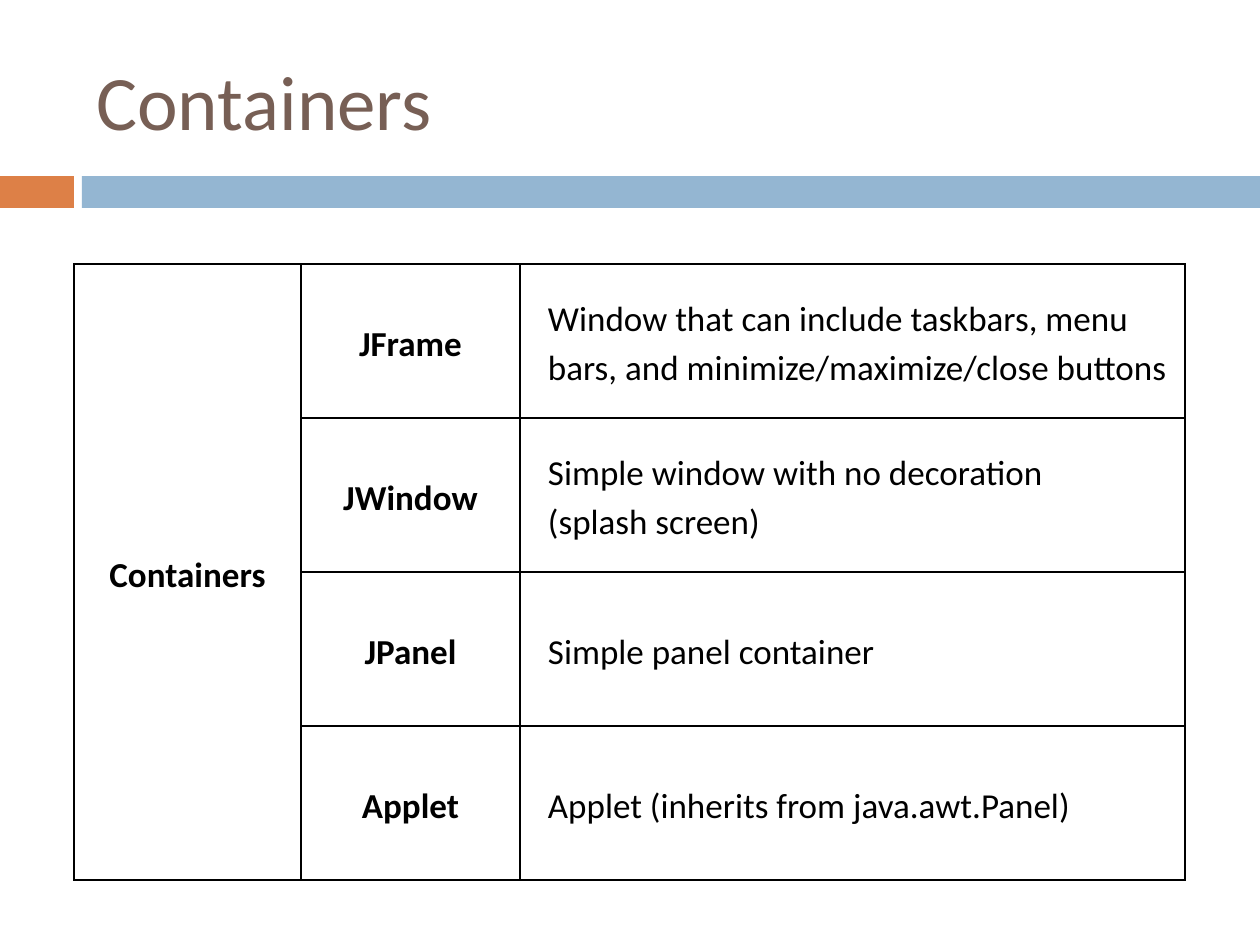
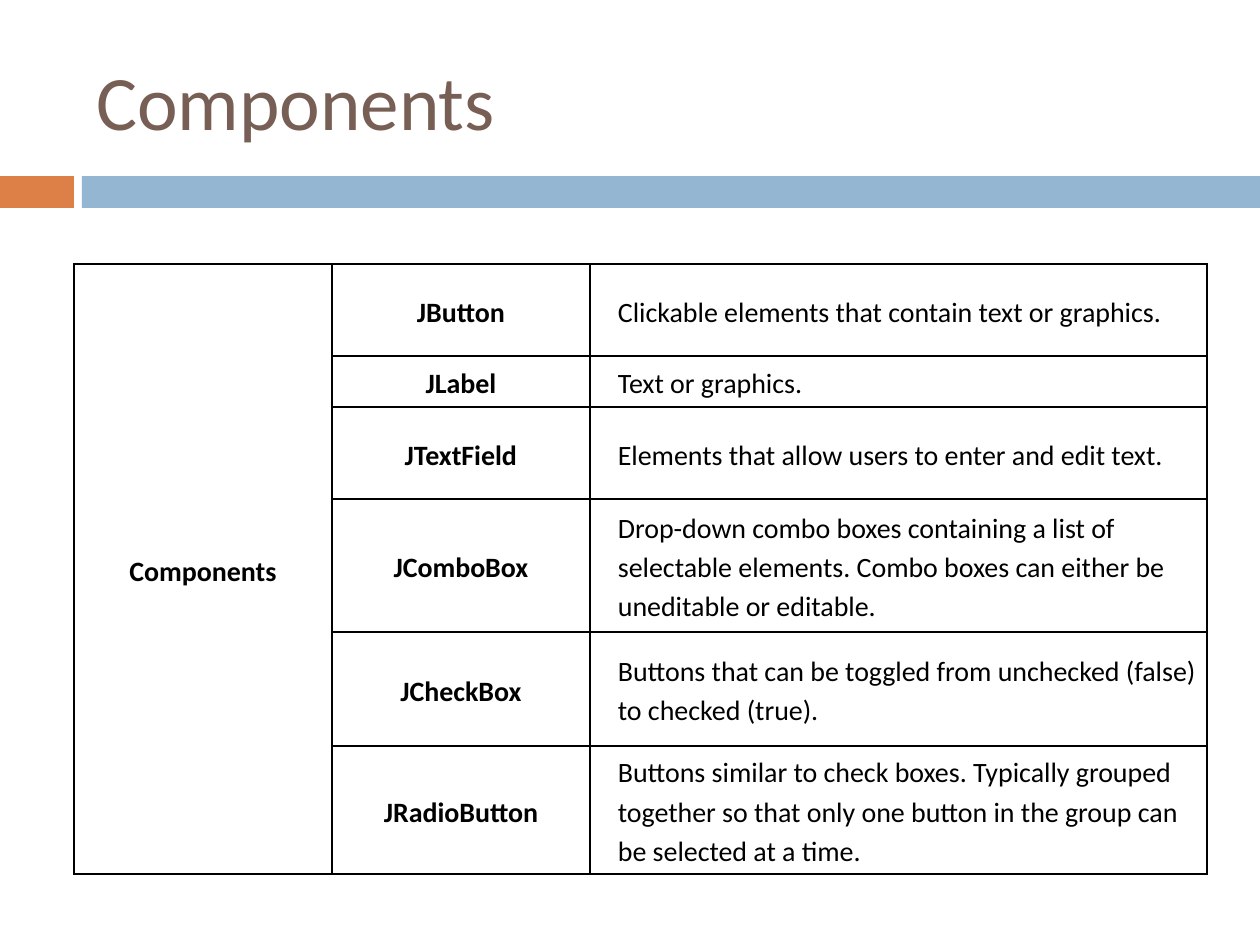
from lxml.etree import SubElement
from pptx import Presentation
from pptx.dml.color import RGBColor
from pptx.enum.shapes import MSO_SHAPE as Shape
from pptx.enum.text import MSO_ANCHOR as Anchor, PP_ALIGN as Align
from pptx.oxml.ns import qn
from pptx.util import Pt

PX = 914400 / 126
FONT = "Calibri"
BLACK, BROWN, ORANGE, BLUE = "000000", "775F55", "DD8047", "94B6D2"
BANDS = [(0, 74, ORANGE), (82, 1178, BLUE)]
LEFT, TOP, INDENT = 74, 264, 28

PAGES = [
    dict(title="Containers", size=20, pad=4, cols=[227, 219, 665], rows=[
        (154, "JFrame", "Window that can include taskbars, menu bars, "
         "and minimize/maximize/close buttons"),
        (154, "JWindow", "Simple window with no decoration\v(splash screen)"),
        (154, "JPanel", "Simple panel container"),
        (154, "Applet", "Applet (inherits from java.awt.Panel)"),
    ]),
    dict(title="Components", size=16, pad=5, cols=[258, 258, 617], rows=[
        (92, "JButton", "Clickable elements that contain text or graphics."),
        (51, "JLabel", "Text or graphics."),
        (92, "JTextField", "Elements that allow users to enter and edit text."),
        (133, "JComboBox", "Drop-down combo boxes containing a list of selectable "
         "elements. Combo boxes can either be uneditable or editable."),
        (114, "JCheckBox", "Buttons that can be toggled from unchecked (false) "
         "to checked (true)."),
        (128, "JRadioButton", "Buttons similar to check boxes. Typically grouped "
         "together so that only one button in the group can be selected at a time."),
    ]),
]


def emu(*sizes):
    return [round(size * PX) for size in sizes]


def style(para, size, color, bold=False):
    for run in para.runs:
        font = run.font
        font.name, font.size, font.bold = FONT, Pt(size), bold
        font.color.rgb = RGBColor.from_string(color)


deck = Presentation()
deck.slide_width, deck.slide_height = emu(1260, 945)

for page in PAGES:
    slide = deck.slides.add_slide(deck.slide_layouts[6])
    shapes = slide.shapes

    for left, width, color in BANDS:
        band = shapes.add_shape(Shape.RECTANGLE, *emu(left, 176, width, 32))
        band.shadow.inherit = False
        band.fill.solid()
        band.fill.fore_color.rgb = RGBColor.from_string(color)
        band.line.fill.background()

    title = shapes.add_textbox(*emu(84, 32, 1124, 136)).text_frame
    title.word_wrap = True
    title.vertical_anchor = Anchor.MIDDLE
    title.text = page["title"]
    style(title.paragraphs[0], 44, BROWN)

    cols, rows, pad = page["cols"], page["rows"], page["pad"]
    high = sum(row[0] for row in rows)
    table = shapes.add_table(len(rows), len(cols),
                             *emu(LEFT, TOP, sum(cols), high)).table
    table.first_row = table.horz_banding = False
    for col, width in zip(table.columns, emu(*cols)):
        col.width = width

    for r, (height, name, about) in enumerate(rows):
        table.rows[r].height = emu(height)[0]
        group = page["title"] if r == 0 else ""
        for c, text in enumerate([group, name, about]):
            cell = table.cell(r, c)
            last = c == 2
            cell.margin_right, cell.margin_top, cell.margin_bottom = emu(pad, pad, pad)
            cell.margin_left = emu(INDENT if last else pad)[0]
            cell.vertical_anchor = Anchor.MIDDLE
            cell.text_frame.text = text
            para = cell.text_frame.paragraphs[0]
            para.alignment = Align.LEFT if last else Align.CENTER
            para.line_spacing = 1.15
            style(para, page["size"], BLACK, bold=not last)

            props = cell._tc.get_or_add_tcPr()
            for side in ("lnL", "lnR", "lnT", "lnB"):
                line = SubElement(props, qn("a:" + side), w=str(Pt(1)))
                fill = SubElement(line, qn("a:solidFill"))
                SubElement(fill, qn("a:srgbClr"), val=BLACK)
            cell.fill.background()

    table.cell(0, 0).merge(table.cell(len(rows) - 1, 0))

deck.save("out.pptx")
